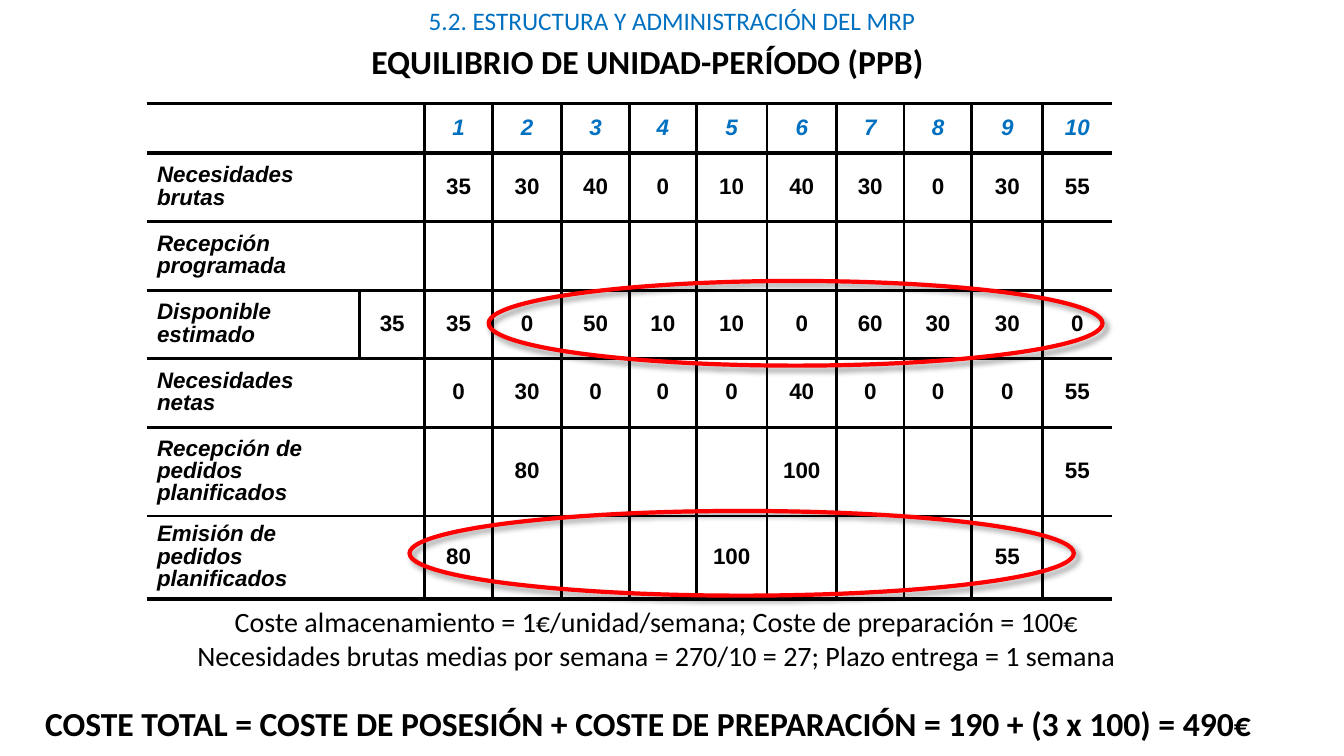
from lxml import etree
from pptx import Presentation
from pptx import util as u
from pptx.dml.color import RGBColor
from pptx.enum import shapes, text
from pptx.oxml.ns import qn

COLORS = {"ink": "000000", "accent": "0070C0", "highlight": "FF0000"}
THIN, THICK = 2.25, 3

COLUMN_WIDTHS = [152, 46.4, 48.4, 49.5, 48.4, 47.7, 50.6, 49.5, 48.4, 48.4, 50.6, 49.5]
ROW_HEIGHTS = [35.3, 49, 49, 49, 49, 63.4, 59]
PLAN = [
    ["", "", "1", "2", "3", "4", "5", "6", "7", "8", "9", "10"],
    ["Necesidades brutas", "", "35", "30", "40", "0", "10", "40", "30", "0", "30", "55"],
    ["Recepción programada"] + [""] * 11,
    ["Disponible estimado", "35", "35", "0", "50", "10", "10", "0", "60", "30", "30", "0"],
    ["Necesidades netas", "", "0", "30", "0", "0", "0", "40", "0", "0", "0", "55"],
    ["Recepción de pedidos planificados", "", "", "80", "", "", "", "100", "", "", "", "55"],
    ["Emisión de pedidos planificados", "", "80", "", "", "", "100", "", "", "", "55", ""],
]
STOCK_ROW = 3


class SlideBuilder:
    def __init__(self, presentation):
        self.slide = presentation.slides.add_slide(presentation.slide_layouts[6])
        self.text_font = "Calibri"
        self.table_font = "Arial"

    def box(self, left, top, width, height):
        return [u.Pt(value) for value in (left, top, width, height)]

    def style(self, paragraph, font, size, color, bold=False, italic=False):
        for run in paragraph.runs:
            run.font.name = font
            run.font.size = u.Pt(size)
            run.font.bold = bold
            run.font.italic = italic
            run.font.color.rgb = RGBColor.from_string(COLORS[color])

    def text(self, place, content, size, color="ink", bold=False, wrap=True):
        frame = self.slide.shapes.add_textbox(*self.box(*place)).text_frame
        frame.text = content
        frame.word_wrap = wrap
        frame.auto_size = text.MSO_AUTO_SIZE.SHAPE_TO_FIT_TEXT
        for paragraph in frame.paragraphs:
            paragraph.alignment = text.PP_ALIGN.CENTER
            self.style(paragraph, self.text_font, size, color, bold)

    def borders(self, cell, widths):
        """Draw the left, right, top and bottom lines; a width of 0 means no line."""
        properties = cell._tc.get_or_add_tcPr()
        for index, (side, width) in enumerate(zip("LRTB", widths)):
            line = etree.Element(qn("a:ln" + side), w=str(u.Pt(width)))
            if width:
                fill = etree.SubElement(line, qn("a:solidFill"))
                etree.SubElement(fill, qn("a:srgbClr"), val=COLORS["ink"])
            else:
                etree.SubElement(line, qn("a:noFill"))
            properties.insert(index, line)

    def table(self, left, top, rows, column_widths, row_heights):
        place = self.box(left, top, sum(column_widths), sum(row_heights))
        table = self.slide.shapes.add_table(len(rows), len(column_widths), *place).table
        table.first_row = table.horz_banding = False
        for column, width in zip(table.columns, column_widths):
            column.width = u.Pt(width)
        for row, height in zip(table.rows, row_heights):
            row.height = u.Pt(height)

        last_row, last_column = len(rows) - 1, len(column_widths) - 1
        for r, values in enumerate(rows):
            for c, value in enumerate(values):
                cell = table.cell(r, c)
                cell.fill.background()
                cell.vertical_anchor = text.MSO_ANCHOR.MIDDLE
                cell.text_frame.text = value
                paragraph = cell.text_frame.paragraphs[0]
                paragraph.line_spacing = 0.9
                if c > 0:
                    paragraph.alignment = text.PP_ALIGN.CENTER
                self.style(paragraph, self.table_font, 16, "ink" if r else "accent",
                           bold=True, italic=r == 0 or c == 0)
                # The label and opening stock share an open cell except in the stock row
                left_line = c > 1 or (c == 1 and r == STOCK_ROW)
                right_line = 0 < c < last_column or (c == 0 and r == STOCK_ROW)
                self.borders(cell, [
                    THIN if left_line else 0,
                    THIN if right_line else 0,
                    THICK if r <= 1 else THIN,
                    THICK if r in (0, last_row) else THIN,
                ])

    def ellipse(self, place):
        shape = self.slide.shapes.add_shape(shapes.MSO_SHAPE.OVAL, *self.box(*place))
        shape.fill.background()
        shape.line.color.rgb = RGBColor.from_string(COLORS["highlight"])
        shape.line.width = u.Pt(THICK)
        shape.shadow.inherit = False
        effects = shape._element.spPr.find(qn("a:effectLst"))
        shadow = etree.SubElement(effects, qn("a:outerShdw"), blurRad=str(u.Pt(4)),
                                  dist=str(u.Pt(3)), dir="2700000", algn="tl", rotWithShape="0")
        color = etree.SubElement(shadow, qn("a:srgbClr"), val=COLORS["ink"])
        etree.SubElement(color, qn("a:alpha"), val="40000")


def main():
    presentation = Presentation()
    presentation.slide_width = u.Pt(960)
    presentation.slide_height = u.Pt(540)
    builder = SlideBuilder(presentation)

    # Headings
    builder.text((0, 0, 960, 29), "5.2. ESTRUCTURA Y ADMINISTRACIÓN DEL MRP", 18, "accent")
    builder.text((178.5, 26, 568, 36), "EQUILIBRIO DE UNIDAD-PERÍODO (PPB)", 24, bold=True)

    # Planning table
    builder.table(105, 74, PLAN, COLUMN_WIDTHS, ROW_HEIGHTS)

    # Cost assumptions
    builder.text((132.5, 428.4, 673, 55.4),
                 "Coste almacenamiento = 1€/unidad/semana; Coste de preparación = 100€\n"
                 "Necesidades brutas medias por semana = 270/10 = 27; Plazo entrega = 1 semana",
                 20, wrap=False)

    # Highlighted stock and order releases
    for place in [(349, 200.7, 438.5, 60.5), (292.5, 365, 474.5, 60.5)]:
        builder.ellipse(place)

    # Total cost
    builder.text((-11.5, 498.5, 949, 36),
                 "COSTE TOTAL = COSTE DE POSESIÓN + COSTE DE PREPARACIÓN = 190 + (3 x 100) = 490€",
                 24, bold=True)

    presentation.save("out.pptx")


if __name__ == "__main__":
    main()
